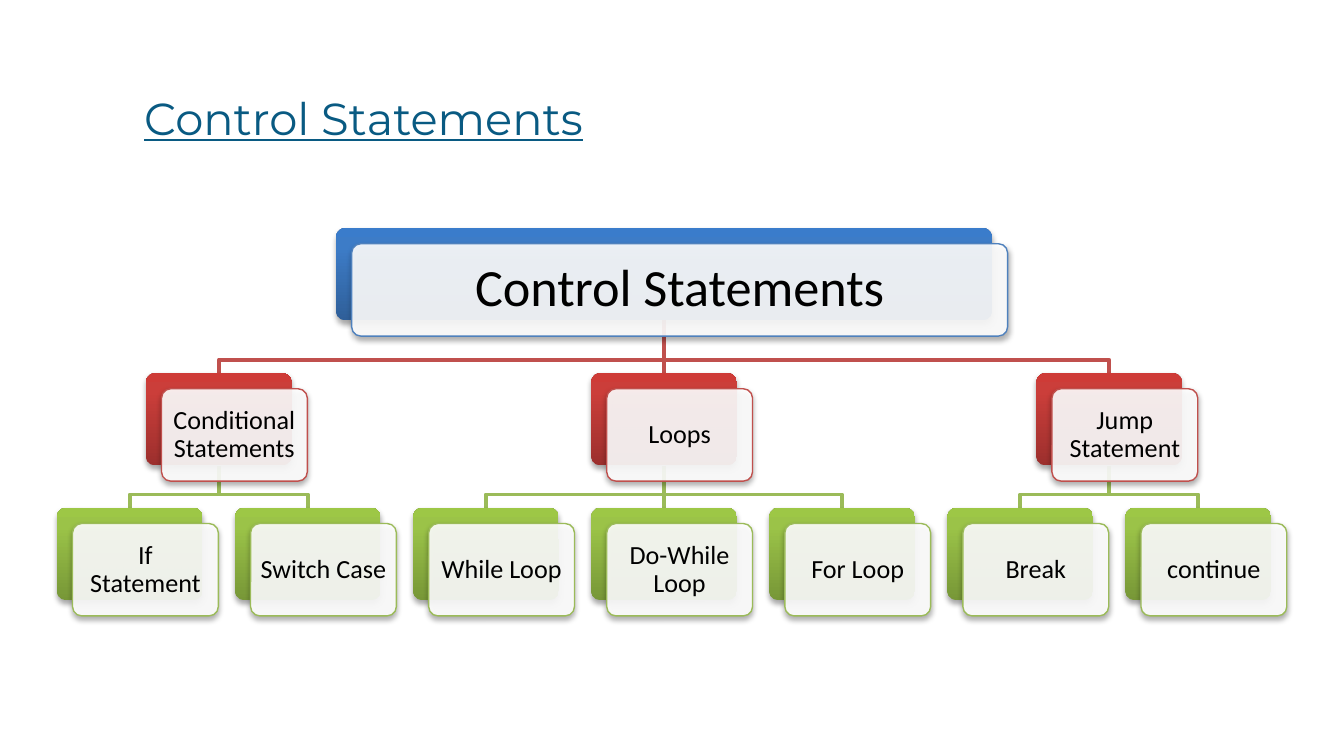
from copy import deepcopy
from dataclasses import dataclass, field

from lxml.etree import SubElement
from pptx import Presentation
from pptx.dml.color import RGBColor
from pptx.enum.shapes import MSO_CONNECTOR, MSO_SHAPE
from pptx.enum.text import MSO_ANCHOR, PP_ALIGN
from pptx.oxml.ns import qn
from pptx.util import Pt

CENTRE_X = 355.7
LEAF_PITCH = 95.4
CARD_HEIGHT = 49.5
CARD_OFFSET = 8.4
ELBOW_RISE = 7.2


@dataclass(frozen=True)
class Level:
    top: float
    width: float
    font_size: float
    inset: float
    accent: str
    gradient: tuple[str, str, str]


@dataclass
class Node:
    label: str
    children: list["Node"] = field(default_factory=list)
    x: float = 0


LEVELS = [
    Level(122.2, 351.4, 28, 8, "4F81BD", ("2F5F99", "3D7CC7", "3A7CCB")),
    Level(199.9, 78.1, 14, 3, "C0504D", ("9C2F2D", "CB3E3A", "CE3B37")),
    Level(272.1, 78.1, 14, 3, "9BBB59", ("779737", "9BC348", "9DC746")),
]

TREE = Node("Control Statements", [
    Node("Conditional Statements", [Node("If Statement"), Node("Switch Case")]),
    Node("Loops", [Node("While Loop"), Node("Do-While Loop"), Node("For Loop")]),
    Node("Jump Statement", [Node("Break"), Node("continue")]),
])


def color(value: str) -> RGBColor:
    return RGBColor.from_string(value)


def leaves(node: Node) -> list[Node]:
    if not node.children:
        return [node]
    return [leaf for child in node.children for leaf in leaves(child)]


def center_parents(node: Node) -> None:
    """Place each parent midway between its first and last child."""
    for child in node.children:
        center_parents(child)
    if node.children:
        node.x = (node.children[0].x + node.children[-1].x) / 2


def add_card(slide, left: float, top: float, width: float):
    """Add a rounded rectangle with a soft shadow below it."""
    shape = slide.shapes.add_shape(
        MSO_SHAPE.ROUNDED_RECTANGLE, Pt(left), Pt(top), Pt(width), Pt(CARD_HEIGHT))
    shape.adjustments[0] = 0.1
    shape.shadow.inherit = False
    effects = shape.element.spPr.find(qn("a:effectLst"))
    shadow = SubElement(effects, qn("a:outerShdw"), blurRad=str(Pt(3.1)),
                        dist=str(Pt(1.8)), dir="5400000", rotWithShape="0")
    shade = SubElement(shadow, qn("a:srgbClr"), val="000000")
    SubElement(shade, qn("a:alpha"), val="35000")
    return shape


def fill_gradient(shape, colors: tuple[str, str, str]) -> None:
    shape.fill.gradient()
    shape.fill.gradient_angle = 90
    stop_list = shape.element.spPr.find(".//" + qn("a:gsLst"))
    stop_list.append(deepcopy(stop_list[0]))
    for stop, position, value in zip(shape.fill.gradient_stops, (0, 0.8, 1), colors):
        stop.position = position
        stop.color.rgb = color(value)


def draw_node(slide, node: Node, depth: int = 0) -> None:
    level = LEVELS[depth]
    left = node.x - level.width / 2
    back = add_card(slide, left, level.top, level.width)
    fill_gradient(back, level.gradient)
    back.line.fill.background()

    front = add_card(slide, left + CARD_OFFSET, level.top + CARD_OFFSET, level.width)
    front.fill.solid()
    front.fill.fore_color.rgb = color("FFFFFF")
    white = front.element.spPr.find(qn("a:solidFill"))[0]
    SubElement(white, qn("a:alpha"), val="90000")
    front.line.color.rgb = color(level.accent)
    front.line.width = Pt(0.75)

    frame = front.text_frame
    frame.word_wrap = True
    frame.vertical_anchor = MSO_ANCHOR.MIDDLE
    frame.margin_left = frame.margin_right = Pt(level.inset)
    frame.margin_top = frame.margin_bottom = Pt(level.inset)
    paragraph = frame.paragraphs[0]
    paragraph.text = node.label
    paragraph.alignment = PP_ALIGN.CENTER
    paragraph.line_spacing = 0.9
    paragraph.font.name = "Calibri"
    paragraph.font.size = Pt(level.font_size)
    paragraph.font.color.rgb = color("000000")

    for child in node.children:
        draw_node(slide, child, depth + 1)


def draw_branches(slide, node: Node, depth: int = 0) -> None:
    """Link a node to its children, in the accent colour of the children."""
    for child in node.children:
        start = LEVELS[depth].top + CARD_HEIGHT
        end = LEVELS[depth + 1].top
        if abs(child.x - node.x) < 0.1:
            branch = slide.shapes.add_connector(
                MSO_CONNECTOR.STRAIGHT, Pt(node.x), Pt(start), Pt(child.x), Pt(end))
            SubElement(branch.element.spPr, qn("a:effectLst"))
        else:
            elbow = end - ELBOW_RISE
            builder = slide.shapes.build_freeform(Pt(node.x), Pt(start))
            corners = [(node.x, elbow), (child.x, elbow), (child.x, end)]
            builder.add_line_segments([(Pt(x), Pt(y)) for x, y in corners], close=False)
            branch = builder.convert_to_shape()
            branch.fill.background()
            branch.shadow.inherit = False
        branch.line.color.rgb = color(LEVELS[depth + 1].accent)
        branch.line.width = Pt(2)
        draw_branches(slide, child, depth + 1)


def draw_title(slide, text: str) -> None:
    title = slide.shapes.title
    title.left, title.top, title.width, title.height = Pt(77.2), Pt(48.6), Pt(565), Pt(29)
    frame = title.text_frame
    frame.margin_left = frame.margin_right = frame.margin_top = frame.margin_bottom = 0
    frame.vertical_anchor = MSO_ANCHOR.TOP
    paragraph = frame.paragraphs[0]
    paragraph.text = text
    paragraph.alignment = PP_ALIGN.LEFT
    paragraph.font.name = "Montserrat"
    paragraph.font.size = Pt(24)
    paragraph.font.underline = True
    paragraph.font.color.rgb = color("095A82")


def main() -> None:
    presentation = Presentation()
    presentation.slide_width, presentation.slide_height = Pt(720), Pt(405)
    slide = presentation.slides.add_slide(presentation.slide_layouts[5])
    draw_title(slide, "Control Statements")

    row = leaves(TREE)
    for index, leaf in enumerate(row):
        leaf.x = CENTRE_X + (index - (len(row) - 1) / 2) * LEAF_PITCH
    center_parents(TREE)
    draw_branches(slide, TREE)
    draw_node(slide, TREE)
    presentation.save("out.pptx")


if __name__ == "__main__":
    main()
